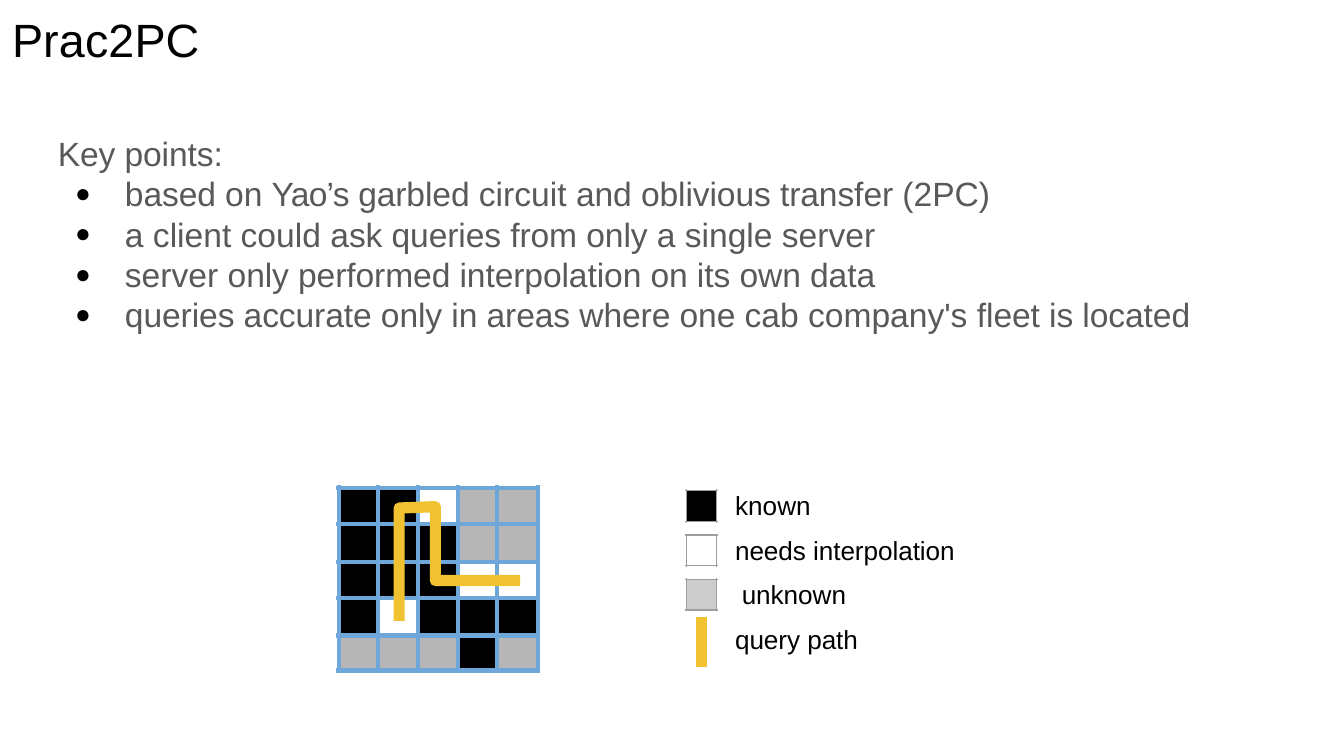
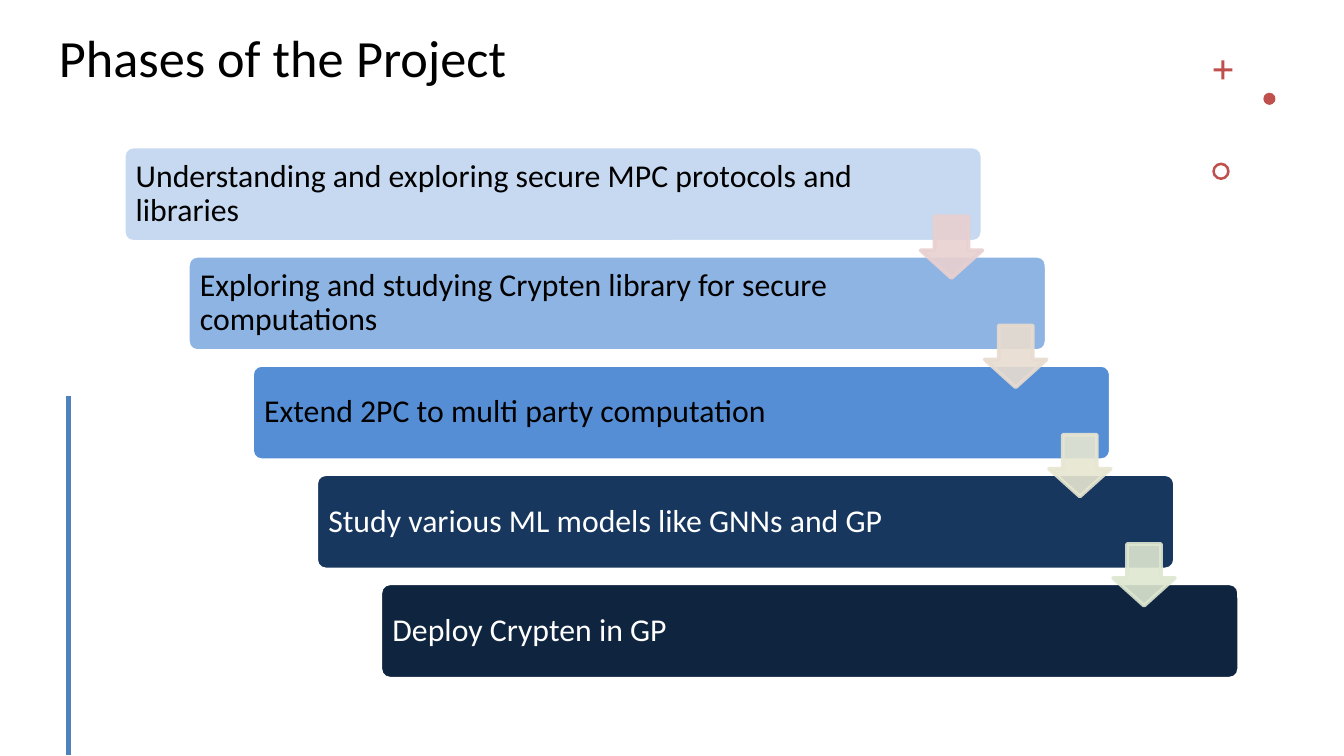
from typing import NamedTuple

from lxml import etree
from pptx import Presentation
from pptx.dml.color import RGBColor
from pptx.enum.shapes import MSO_CONNECTOR, MSO_SHAPE
from pptx.enum.text import MSO_ANCHOR
from pptx.oxml.ns import qn
from pptx.util import Inches, Pt

RECTANGLE = MSO_SHAPE.RECTANGLE
ROUNDED = MSO_SHAPE.ROUNDED_RECTANGLE
DOWN_ARROW = MSO_SHAPE.DOWN_ARROW
CROSS, OVAL, DONUT = MSO_SHAPE.CROSS, MSO_SHAPE.OVAL, MSO_SHAPE.DONUT
STRAIGHT = MSO_CONNECTOR.STRAIGHT
TOP, MIDDLE = MSO_ANCHOR.TOP, MSO_ANCHOR.MIDDLE

BLACK = RGBColor(0x00, 0x00, 0x00)
WHITE = RGBColor(0xFF, 0xFF, 0xFF)
BODY_GRAY = RGBColor(0x59, 0x59, 0x59)
CELL_GRAY = RGBColor(0xB6, 0xB6, 0xB6)
SWATCH_GRAY = RGBColor(0xCC, 0xCC, 0xCC)
SWATCH_EDGE = RGBColor(0x9E, 0x9E, 0x9E)
GRID_BLUE = RGBColor(0x6E, 0xA8, 0xDB)
PATH_YELLOW = RGBColor(0xF0, 0xC1, 0x31)
ACCENT_RED = RGBColor(0xC0, 0x50, 0x4D)
ACCENT_BLUE = RGBColor(0x4F, 0x81, 0xBD)

Points = list[tuple[float, float]]


class Box(NamedTuple):
    left: float
    top: float
    width: float
    height: float


class Style(NamedTuple):
    font: str
    size: float
    color: RGBColor


class Phrase(NamedTuple):
    text: str
    spacing: float = 0  # letter spacing in points


class Region(NamedTuple):
    fill: RGBColor
    corners: Points  # column and row numbers of grid lines


class Phase(NamedTuple):
    text: str
    fill: RGBColor
    color: RGBColor
    text_width: float = 5.41


class Ornament(NamedTuple):
    kind: MSO_SHAPE
    box: Box
    adjustments: tuple[float, ...] = ()


# Shared drawing functions
def add_panel(slide, kind: MSO_SHAPE, box: Box, fill: RGBColor,
              line: RGBColor | None = None, weight: float = 1,
              adjustments: tuple[float, ...] = ()):
    panel = slide.shapes.add_shape(kind, *map(Inches, box))
    panel.shadow.inherit = False
    panel.fill.solid()
    panel.fill.fore_color.rgb = fill
    if line is None:
        panel.line.fill.background()
    else:
        panel.line.color.rgb = line
        panel.line.width = Pt(weight)
    for index, value in enumerate(adjustments):
        panel.adjustments[index] = value
    return panel


def add_outline(slide, strokes: list[Points], close: bool):
    paths = [[(Inches(x), Inches(y)) for x, y in stroke] for stroke in strokes]
    builder = slide.shapes.build_freeform(*paths[0][0])
    for index, (start, *turns) in enumerate(paths):
        if index:
            builder.move_to(*start)
        builder.add_line_segments(turns, close=close)
    outline = builder.convert_to_shape()
    outline.shadow.inherit = False
    return outline


def add_strokes(slide, strokes: list[Points], color: RGBColor,
                weight: float) -> None:
    outline = add_outline(slide, strokes, close=False)
    outline.fill.background()
    outline.line.color.rgb = color
    outline.line.width = Pt(weight)


def add_grid(slide, xs: list[float], ys: list[float], overhang: float,
             color: RGBColor, weight: float) -> None:
    left, right = xs[0] - overhang, xs[-1] + overhang
    top, bottom = ys[0] - overhang, ys[-1] + overhang
    strokes = [[(x, top), (x, bottom)] for x in xs]
    strokes += [[(left, y), (right, y)] for y in ys]
    add_strokes(slide, strokes, color, weight)


def add_rule(slide, x: float, top: float, bottom: float,
             color: RGBColor, weight: float) -> None:
    rule = slide.shapes.add_connector(STRAIGHT, *map(Inches, (x, top, x, bottom)))
    rule.line.color.rgb = color
    rule.line.width = Pt(weight)
    etree.SubElement(rule._element.spPr, qn("a:effectLst"))


def add_text_frame(slide, box: Box, insets: tuple[float, float, float, float],
                   anchor: MSO_ANCHOR = TOP):
    frame = slide.shapes.add_textbox(*map(Inches, box)).text_frame
    frame.word_wrap = True
    frame.vertical_anchor = anchor
    (frame.margin_left, frame.margin_top,
     frame.margin_right, frame.margin_bottom) = map(Inches, insets)
    return frame


def write(paragraph, phrases: list[Phrase], style: Style) -> None:
    for phrase in phrases:
        run = paragraph.add_run()
        run.text = phrase.text
        run.font.name = style.font
        run.font.size = Pt(style.size)
        run.font.color.rgb = style.color
        if phrase.spacing:
            run._r.get_or_add_rPr().set("spc", str(round(phrase.spacing * 100)))


def set_indent(paragraph, left: float, hanging: float = 0) -> None:
    properties = paragraph._p.get_or_add_pPr()
    properties.set("marL", str(Inches(left)))
    properties.set("indent", str(-Inches(hanging)))


def add_bullet(paragraph) -> None:
    set_indent(paragraph, 0.51, 0.37)
    properties = paragraph._p.get_or_add_pPr()
    color = etree.SubElement(properties, qn("a:buClr"))
    etree.SubElement(color, qn("a:srgbClr"), val=str(BLACK))
    etree.SubElement(properties, qn("a:buSzPct"), val="78000")
    etree.SubElement(properties, qn("a:buFont"), typeface="Arial")
    etree.SubElement(properties, qn("a:buChar"), char="●")


def add_title(slide, box: Box, insets: tuple[float, float, float, float],
              phrases: list[Phrase], style: Style,
              line_spacing: float = 1.0) -> None:
    title = add_text_frame(slide, box, insets).paragraphs[0]
    set_indent(title, 0.01)
    title.line_spacing = line_spacing
    write(title, phrases, style)


# Slide 1: key points, query map and legend
TIGHT = -0.05
KEY_POINTS = [
    [Phrase("based on ", TIGHT), Phrase("Yao’s ", -0.4),
     Phrase("garbled ", TIGHT), Phrase("circuit "),
     Phrase("and oblivious transfer ", TIGHT), Phrase("(2PC)")],
    [Phrase("a client could "), Phrase("ask queries from only ", TIGHT),
     Phrase("a single server")],
    [Phrase("server "),
     Phrase("only performed interpolation on its own data", TIGHT)],
    [Phrase("queries accurate only in areas where one ", TIGHT),
     Phrase("cab company's "), Phrase("fleet is located", TIGHT)],
]


def block(left: int, top: int, right: int, bottom: int) -> Points:
    return [(left, top), (right, top), (right, bottom), (left, bottom)]


COLUMN_LINES = [2.52, 2.81, 3.11, 3.41, 3.7, 4]
ROW_LINES = [3.63, 3.9, 4.18, 4.45, 4.73, 4.99]
REGIONS = [
    Region(BLACK, block(0, 0, 2, 2)),
    Region(CELL_GRAY, block(3, 0, 5, 1)),
    Region(BLACK, block(2, 1, 3, 2)),
    Region(CELL_GRAY, block(3, 1, 5, 2)),
    Region(BLACK, [(0, 2), (3, 2), (3, 3), (5, 3), (5, 4), (2, 4), (2, 3),
                   (1, 3), (1, 4), (0, 4)]),
    Region(CELL_GRAY, block(0, 4, 3, 5)),
    Region(BLACK, block(3, 4, 4, 5)),
    Region(CELL_GRAY, block(4, 4, 5, 5)),
]
QUERY_PATH = [(3.87, 4.32), (3.24, 4.32), (3.24, 3.77), (2.97, 3.78),
              (2.97, 4.62)]

SWATCHES = [BLACK, None, SWATCH_GRAY]
LEGEND = [(Phrase("known"), 0.01), (Phrase("needs interpolation", TIGHT), 0.01),
          (Phrase("unknown", TIGHT), 0.06), (Phrase("query path", TIGHT), 0.01)]


def draw_key_points(slide) -> None:
    style = Style("Arial", 18, BODY_GRAY)
    frame = add_text_frame(slide, Box(0.42, 0.98, 8.49, 1.53), (0, 0.01, 0, 0))
    heading = frame.paragraphs[0]
    set_indent(heading, 0.01)
    write(heading, [Phrase("Key points:", TIGHT)], style)
    for phrases in KEY_POINTS:
        point = frame.add_paragraph()
        add_bullet(point)
        write(point, phrases, style)


def draw_query_map(slide) -> None:
    for region in REGIONS:
        corners = [(COLUMN_LINES[column], ROW_LINES[row])
                   for column, row in region.corners]
        area = add_outline(slide, [corners], close=True)
        area.fill.solid()
        area.fill.fore_color.rgb = region.fill
        area.line.fill.background()
    add_grid(slide, COLUMN_LINES, ROW_LINES, 0.02, GRID_BLUE, 2.25)
    add_strokes(slide, [QUERY_PATH], PATH_YELLOW, 6)


def draw_legend(slide) -> None:
    for index, fill in enumerate(SWATCHES):
        swatch = Box(5.11, 3.65 + index * 0.33, 0.22, 0.23)
        if fill is not None:
            add_panel(slide, RECTANGLE, swatch, fill)
        add_grid(slide, [swatch.left, swatch.left + swatch.width],
                 [swatch.top, swatch.top + swatch.height], 0.01,
                 SWATCH_EDGE, 0.75)
    add_rule(slide, 5.22, 4.59, 4.96, PATH_YELLOW, 6.25)
    frame = add_text_frame(slide, Box(5.46, 3.53, 1.67, 1.36), (0, 0.11, 0, 0))
    for index, (label, indent) in enumerate(LEGEND):
        entry = frame.add_paragraph() if index else frame.paragraphs[0]
        set_indent(entry, indent)
        if index:
            entry.space_before = Pt(7.2)
        write(entry, [label], Style("Arial", 14, BLACK))


def build_prac2pc(slide) -> None:
    add_title(slide, Box(0.08, 0.06, 1.43, 0.45), (0, 0.02, 0, 0),
              [Phrase("Prac2PC", 0.1)], Style("Arial", 25, BLACK))
    draw_key_points(slide)
    draw_query_map(slide)
    draw_legend(slide)


# Slide 2: staircase of project phases
PHASES = [
    Phase("Understanding and exploring secure MPC protocols and libraries",
          RGBColor(0xC6, 0xD9, 0xF1), BLACK, 5.54),
    Phase("Exploring and studying Crypten library for secure computations",
          RGBColor(0x8E, 0xB4, 0xE3), BLACK),
    Phase("Extend 2PC to multi party computation",
          RGBColor(0x55, 0x8E, 0xD5), BLACK),
    Phase("Study various ML models like GNNs and GP",
          RGBColor(0x17, 0x37, 0x5E), WHITE),
    Phase("Deploy Crypten in GP", RGBColor(0x0F, 0x24, 0x3E), WHITE),
]
ARROW_COLORS = [RGBColor(0xE8, 0xD0, 0xD0), RGBColor(0xE8, 0xDC, 0xD0),
                RGBColor(0xE7, 0xE6, 0xD1), RGBColor(0xDE, 0xE7, 0xD1)]
FIRST_STEP = Box(0.92, 1.09, 6.39, 0.71)
LAST_STEP = Box(2.83, 4.34, 6.39, 0.71)
ORNAMENTS = [
    Ornament(CROSS, Box(9.03, 0.45, 0.14, 0.14), (0.42,)),
    Ornament(OVAL, Box(9.4, 0.69, 0.09, 0.09)),
    Ornament(DONUT, Box(9.02, 1.21, 0.13, 0.13), (0.15,)),
]


def step_box(index: int) -> Box:
    share = index / (len(PHASES) - 1)
    return Box(*(first + (last - first) * share
                 for first, last in zip(FIRST_STEP, LAST_STEP)))


def draw_phase(slide, phase: Phase, step: Box) -> None:
    add_panel(slide, ROUNDED, step, phase.fill, WHITE, 2, (0.1,))
    text_box = Box(step.left + 0.02, step.top + 0.02, phase.text_width, 0.67)
    caption = add_text_frame(slide, text_box, (0.07,) * 4, MIDDLE).paragraphs[0]
    caption.line_spacing = 0.9
    write(caption, [Phrase(phase.text)], Style("Calibri", 17, phase.color))


def draw_arrow(slide, color: RGBColor, step: Box) -> None:
    arrow = add_panel(slide, DOWN_ARROW,
                      Box(step.left + 5.93, step.top + 0.52, 0.46, 0.46),
                      color, color, 2, (0.55, 0.45))
    for tint in arrow._element.spPr.iter(qn("a:srgbClr")):
        etree.SubElement(tint, qn("a:alpha"), val="90000")


def build_phases(slide) -> None:
    add_title(slide, Box(0.33, 0.19, 7.67, 0.66), (0.1, 0.05, 0.1, 0.05),
              [Phrase("Phases of the ", 0.05), Phrase("Project")],
              Style("Calibri", 28, BLACK), 0.9)
    for ornament in ORNAMENTS:
        add_panel(slide, ornament.kind, ornament.box, ACCENT_RED,
                  adjustments=ornament.adjustments)
    add_rule(slide, 0.51, 2.95, 5.62, ACCENT_BLUE, 2.25)
    for index, phase in enumerate(PHASES):
        draw_phase(slide, phase, step_box(index))
    for index, color in enumerate(ARROW_COLORS):
        draw_arrow(slide, color, step_box(index))


def main() -> None:
    deck = Presentation()
    deck.slide_width = Inches(10)
    deck.slide_height = Inches(10) * 9 // 16
    blank = deck.slide_layouts[6]
    for build in (build_prac2pc, build_phases):
        build(deck.slides.add_slide(blank))
    deck.save("out.pptx")


if __name__ == "__main__":
    main()
